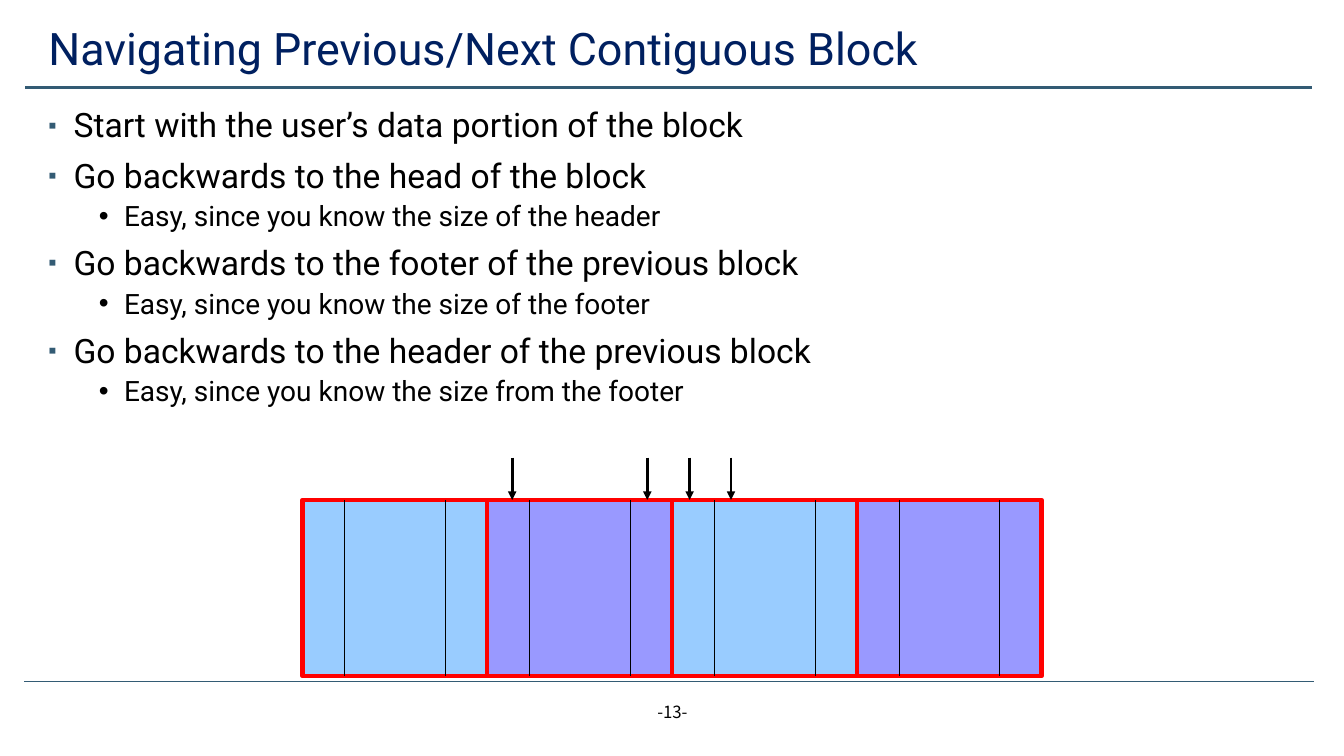
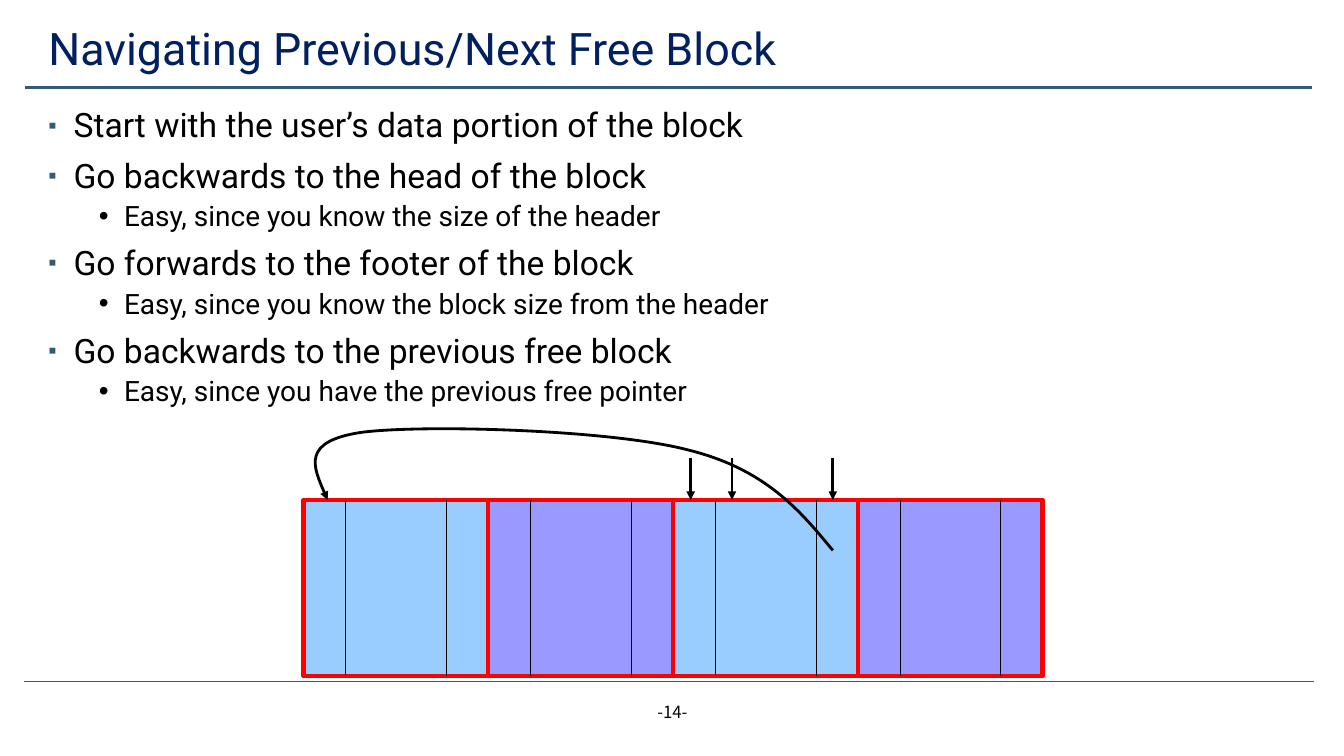
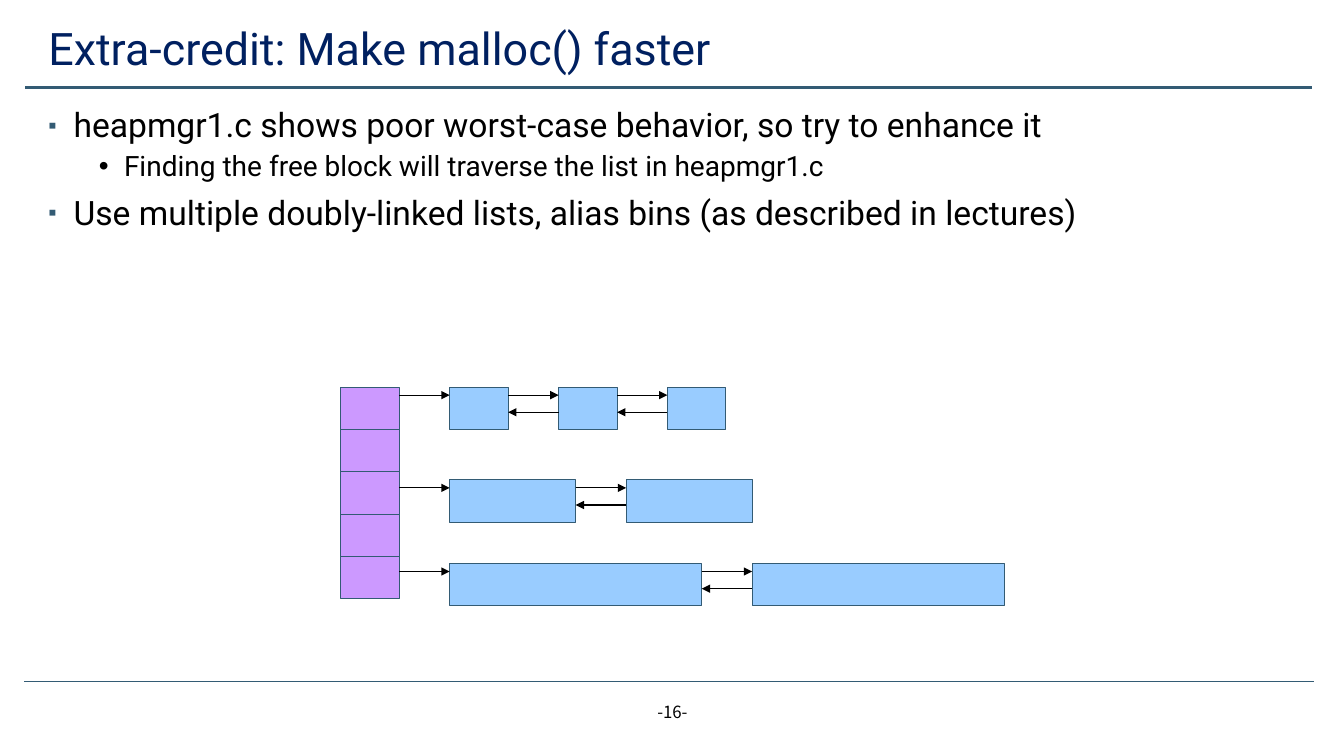
"""Three slides on navigating heap blocks and speeding up malloc()."""
import pptx
import pptx.dml.color
import pptx.enum.shapes
import pptx.enum.text
import pptx.oxml.ns
import pptx.util
import lxml.etree

Inches = pptx.util.Inches
Pt = pptx.util.Pt
ALIGN = pptx.enum.text.PP_ALIGN
ANCHOR = pptx.enum.text.MSO_ANCHOR

TEAL, NAVY, BLACK, WHITE, RED = "335B74", "002060", "000000", "FFFFFF", "FF0000"
BLUE, VIOLET, PURPLE = "99CCFF", "9999FF", "CC99FF"
TITLE_BOX = (0.38, 0.19, 12.43, 0.63)
BODY_BOX = (0.38, 1.03, 12.43, 5.62)
RULES = [(0.25, 0.87, 13.01, 0.87, TEAL, 1.75), (0.24, 6.76, 13.03, 6.76, TEAL, 0.5)]
LEVELS = [
    dict(size=24, before=10, margin=0.25, bullet="▪", tint=TEAL, scale=70),
    dict(size=20, before=5, margin=0.75, bullet="•"),
]

START = [
    (0, "Start with the user’s data portion of the block"),
    (0, "Go backwards to the head of the block"),
    (1, "Easy, since you know the size of the header"),
]
SLIDES = [
    dict(
        number=13,
        title="Navigating Previous/Next Contiguous Block",
        items=START + [
            (0, "Go backwards to the footer of the previous block"),
            (1, "Easy, since you know the size of the footer"),
            (0, "Go backwards to the header of the previous block"),
            (1, "Easy, since you know the size from the footer"),
        ],
        heap=dict(left=3, marks=[7.25, 6.84, 6.42, 5.08]),
    ),
    dict(
        number=14,
        title="Navigating Previous/Next Free Block",
        items=START + [
            (0, "Go forwards to the footer of the block"),
            (1, "Easy, since you know the block size from the header"),
            (0, "Go backwards to the previous free block"),
            (1, "Easy, since you have the previous free pointer"),
        ],
        heap=dict(left=3.01, marks=[7.26, 6.85, 8.26]),
        curve=[
            (8.26, 5.46),
            (7.93, 5.06), (7.59, 4.65), (6.81, 4.46),
            (6.03, 4.26), (4.18, 4.21), (3.58, 4.29),
            (2.99, 4.38), (3.12, 4.67), (3.25, 4.96),
        ],
    ),
    dict(
        number=16,
        title="Extra-credit: Make malloc() faster",
        items=[
            (0, "heapmgr1.c shows poor worst-case behavior, so try to enhance it"),
            (1, "Finding the free block will traverse the list in heapmgr1.c"),
            (0, "Use multiple doubly-linked lists, alias bins (as described in lectures)"),
        ],
        chains=[(3.84, 0.58, 3), (4.76, 1.25, 2), (5.59, 2.5, 2)],
    ),
]

BLOCK_TOP, BLOCK_WIDE, BLOCK_HIGH = 4.96, 7.33 / 4, 1.75
HEAD_EDGE, FOOT_EDGE, MARK_TOP = 0.42, 1.42, 4.54
BIN_LEFT, BIN_TOP, BIN_WIDE, CELL_HIGH, BIN_COUNT = 3.38, 3.84, 0.58, 0.42, 5
LINK_GAP, NEXT_DROP, PREV_DROP = 0.5, 0.08, 0.25


def colour(code):
    """Turn a hex string into a colour."""
    return pptx.dml.color.RGBColor.from_string(code)


def add(parent, tag, **attrs):
    """Append a drawing element with its attributes."""
    node = lxml.etree.SubElement(parent, pptx.oxml.ns.qn("a:" + tag))
    for name, value in attrs.items():
        node.set(name, str(value))
    return node


def place(shape, box):
    """Move a shape to a box in inches."""
    shape.left, shape.top, shape.width, shape.height = map(Inches, box)


def write(para, text, size, font="Roboto", ink=BLACK, align=ALIGN.LEFT, space=None,
          before=0, margin=0, bullet=None, tint=None, scale=None):
    """Write formatted text into a paragraph."""
    run = para.add_run()
    run.text = text
    run.font.size, run.font.name = Pt(size), font
    run.font.color.rgb = colour(ink)
    para.alignment, para.line_spacing, para.space_before = align, space, Pt(before)
    if bullet:
        props = para._p.get_or_add_pPr()
        props.set("marL", str(Inches(margin)))
        props.set("indent", str(Inches(-0.25)))
        if tint:
            add(add(props, "buClr"), "srgbClr", val=tint)
        if scale:
            add(props, "buSzPct", val=scale * 1000)
        add(props, "buChar", char=bullet)


def stroke(shape, ink, width, arrow=False):
    """Set the line of a shape or connector."""
    shape.line.color.rgb = colour(ink)
    shape.line.width = Pt(width)
    if arrow:
        add(shape.line._get_or_add_ln(), "tailEnd", type="triangle")


def line(slide, x1, y1, x2, y2, ink=BLACK, width=0.75, arrow=False):
    """Draw a straight line or arrow."""
    kind = pptx.enum.shapes.MSO_CONNECTOR.STRAIGHT
    link = slide.shapes.add_connector(kind, *map(Inches, (x1, y1, x2, y2)))
    stroke(link, ink, width, arrow)
    add(link._element.spPr, "effectLst")


def block(slide, box, fill, ink=TEAL, width=0.75):
    """Draw a filled rectangle."""
    kind = pptx.enum.shapes.MSO_SHAPE.RECTANGLE
    shape = slide.shapes.add_shape(kind, *map(Inches, box))
    shape.shadow.inherit = False
    shape.fill.solid()
    shape.fill.fore_color.rgb = colour(fill)
    stroke(shape, ink, width)


def curve(slide, points):
    """Draw an arrow along cubic curves, three points to each."""
    start, *rest = [(Inches(x), Inches(y)) for x, y in points]
    maker = slide.shapes.build_freeform(*start)
    maker.add_line_segments(rest, close=False)
    shape = maker.convert_to_shape()
    shape.shadow.inherit = False
    shape.fill.background()
    stroke(shape, BLACK, 2, True)
    steps = shape._element.xpath(".//a:lnTo")
    outline = steps[0].getparent()
    for i in range(0, len(steps), 3):
        bend = add(outline, "cubicBezTo")
        for step in steps[i:i + 3]:
            bend.append(step[0])
            outline.remove(step)


def heap(slide, left, marks):
    """Draw four adjoining blocks with pointers above them."""
    edges = [left + i * BLOCK_WIDE for i in range(4)]
    for i, edge in enumerate(edges):
        box = (edge, BLOCK_TOP, BLOCK_WIDE, BLOCK_HIGH)
        block(slide, box, (BLUE, VIOLET)[i % 2], RED, 3)
    for edge in edges:
        for x in (edge + HEAD_EDGE, edge + FOOT_EDGE):
            line(slide, x, BLOCK_TOP, x, BLOCK_TOP + BLOCK_HIGH)
    for x in marks:
        line(slide, x, MARK_TOP, x, BLOCK_TOP, width=2, arrow=True)


def bins(slide, chains):
    """Draw the column of bins and their doubly-linked lists."""
    for i in range(BIN_COUNT):
        block(slide, (BIN_LEFT, BIN_TOP + i * CELL_HIGH, BIN_WIDE, CELL_HIGH), PURPLE)
    first = BIN_LEFT + BIN_WIDE + LINK_GAP
    for top, wide, count in chains:
        for i in range(count):
            x = first + i * (wide + LINK_GAP)
            block(slide, (x, top, wide, CELL_HIGH), BLUE)
            line(slide, x - LINK_GAP, top + NEXT_DROP, x, top + NEXT_DROP, arrow=True)
            if i:
                line(slide, x, top + PREV_DROP, x - LINK_GAP, top + PREV_DROP, arrow=True)


def frame(deck, layout, number, title, items):
    """Add a slide with its title, list, rules and number."""
    slide = deck.slides.add_slide(layout)
    head, body = slide.shapes.title, slide.placeholders[1]
    write(head.text_frame.paragraphs[0], title, 32, ink=NAVY, space=0.9)
    body.fill.solid()
    body.fill.fore_color.rgb = colour(WHITE)
    for shape, anchor in ((head, ANCHOR.MIDDLE), (body, ANCHOR.TOP)):
        shape.text_frame.auto_size = pptx.enum.text.MSO_AUTO_SIZE.NONE
        shape.text_frame.vertical_anchor = anchor
    for i, (level, text) in enumerate(items):
        frame = body.text_frame
        para = frame.add_paragraph() if i else frame.paragraphs[0]
        para.level = level
        write(para, text, space=0.9, **LEVELS[level])
    for x1, y1, x2, y2, ink, width in RULES:
        line(slide, x1, y1, x2, y2, ink, width)
    foot = slide.shapes.add_textbox(*map(Inches, (5.17, 6.91, 3, 0.4))).text_frame
    foot.word_wrap = True
    write(foot.paragraphs[0], f"-{number}-", 12, font="Noto Sans CJK KR", align=ALIGN.CENTER)
    return slide


def main():
    """Build and save the deck."""
    deck = pptx.Presentation()
    deck.slide_width, deck.slide_height = Inches(13.33), Inches(7.5)
    layout = deck.slide_layouts[1]
    place(layout.placeholders[0], TITLE_BOX)
    place(layout.placeholders[1], BODY_BOX)
    for page in SLIDES:
        slide = frame(deck, layout, page["number"], page["title"], page["items"])
        if "heap" in page:
            heap(slide, **page["heap"])
        if "curve" in page:
            curve(slide, page["curve"])
        if "chains" in page:
            bins(slide, page["chains"])
    deck.save("out.pptx")


if __name__ == "__main__":
    main()
